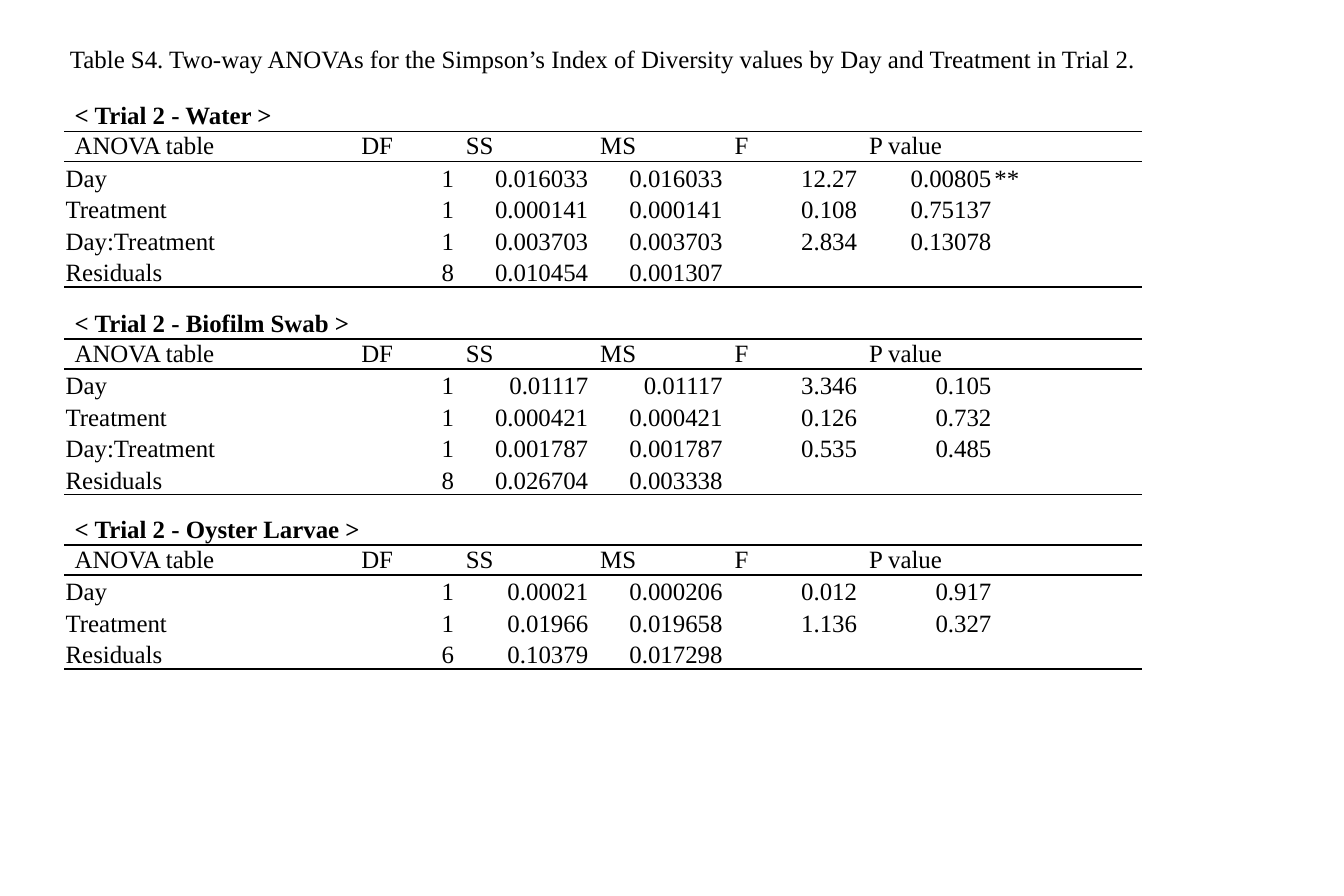
"""Build the slide with three two-way ANOVA tables for Trial 2."""
from lxml.etree import SubElement as Sub
from pptx import Presentation
from pptx.dml.color import RGBColor
from pptx.enum.text import MSO_ANCHOR as Anchor, MSO_AUTO_SIZE as Auto, PP_ALIGN as Align
from pptx.oxml.ns import qn
from pptx.util import Inches, Pt

BLACK = RGBColor(0x00, 0x00, 0x00)
TITLE = ("Table S4. Two-way ANOVAs for the Simpson’s Index of Diversity "
         "values by Day and Treatment in Trial 2.")
HEADS = ["ANOVA table", "DF", "SS", "MS", "F", "P value", ""]
WIDTHS = [1.92, 0.7, 0.9, 0.9, 0.9, 0.9, 1]
HEAD_H, ROW_H = 0.2, 0.21
TRIALS = [
    (0.68, "< Trial 2 - Water >", [
        ["Day", "1", "0.016033", "0.016033", "12.27", "0.00805", "**"],
        ["Treatment", "1", "0.000141", "0.000141", "0.108", "0.75137", ""],
        ["Day:Treatment", "1", "0.003703", "0.003703", "2.834", "0.13078", ""],
        ["Residuals", "8", "0.010454", "0.001307", "", "", ""],
    ]),
    (2.07, "< Trial 2 - Biofilm Swab >", [
        ["Day", "1", "0.01117", "0.01117", "3.346", "0.105", ""],
        ["Treatment", "1", "0.000421", "0.000421", "0.126", "0.732", ""],
        ["Day:Treatment", "1", "0.001787", "0.001787", "0.535", "0.485", ""],
        ["Residuals", "8", "0.026704", "0.003338", "", "", ""],
    ]),
    (3.45, "< Trial 2 - Oyster Larvae >", [
        ["Day", "1", "0.00021", "0.000206", "0.012", "0.917", ""],
        ["Treatment", "1", "0.01966", "0.019658", "1.136", "0.327", ""],
        ["Residuals", "6", "0.10379", "0.017298", "", "", ""],
    ]),
]


class Page:
    """Hold the text style and the current slide."""

    def __init__(self, slide, face="Times New Roman", size=12, color=BLACK):
        """Keep the slide and its style."""
        self.slide, self.face, self.size, self.color = slide, face, size, color

    def line(self, frame, text, bold=False, align=Align.LEFT):
        """Put one styled line in a text frame."""
        para = frame.paragraphs[0]
        para.text = text
        para.alignment = align
        for run in para.runs:
            font = run.font
            font.name, font.size, font.bold = self.face, Pt(self.size), bold
            font.color.rgb = self.color
        if not text:
            Sub(para._p, qn("a:endParaRPr"), sz=str(self.size * 100))

    def label(self, text, left, top, width, height):
        """Add a text box."""
        box = self.slide.shapes.add_textbox(*map(Inches, (left, top, width, height)))
        frame = box.text_frame
        frame.word_wrap = True
        frame.auto_size = Auto.SHAPE_TO_FIT_TEXT
        self.line(frame, text)

    def edge(self, cell, sides):
        """Rule the named sides of a cell and clear the others."""
        props = cell._tc.get_or_add_tcPr()
        for side in "LRTB":
            rule = Sub(props, qn(f"a:ln{side}"), w=str(Pt(1)))
            if side in sides:
                fill = Sub(rule, qn("a:solidFill"))
                Sub(fill, qn("a:srgbClr"), val=str(self.color))
            else:
                Sub(rule, qn("a:noFill"))
        cell.fill.background()

    def cell(self, cell, text, head, bold, align, sides):
        """Fill, inset and rule one table cell."""
        self.line(cell.text_frame, text, bold, align)
        cell.vertical_anchor = Anchor.MIDDLE if head else Anchor.BOTTOM
        cell.margin_left = cell.margin_right = Inches(0.07 if head else 0.01)
        cell.margin_top = Inches(0 if head else 0.01)
        cell.margin_bottom = 0
        self.edge(cell, sides)

    def table(self, top, name, body, left=0.43):
        """Add one ANOVA table with its heading row."""
        data = [[name] + [""] * 6, HEADS] + body
        last = len(data) - 1
        highs = [HEAD_H] * 2 + [ROW_H] * len(body)
        size = map(Inches, (left, top, sum(WIDTHS), sum(highs)))
        grid = self.slide.shapes.add_table(len(data), len(WIDTHS), *size).table
        grid.first_row = grid.horz_banding = False
        for col, width in zip(grid.columns, WIDTHS):
            col.width = Inches(width)
        for row, high in zip(grid.rows, highs):
            row.height = Inches(high)
        for r, row in enumerate(data):
            sides = ("T" if r in (1, 2) else "") + ("B" if r in (0, 1, last) else "")
            for c, text in enumerate(row):
                align = Align.RIGHT if r > 1 and 0 < c < 6 else Align.LEFT
                self.cell(grid.cell(r, c), text, r < 2, r == 0, align, sides)
        grid.cell(0, 0).merge(grid.cell(0, 5))


def main():
    """Make the deck and save it."""
    deck = Presentation()
    deck.slide_width, deck.slide_height = Inches(9), Inches(6)
    page = Page(deck.slides.add_slide(deck.slide_layouts[6]))
    page.label(TITLE, 0.37, 0.24, 7.82, 0.3)
    for trial in TRIALS:
        page.table(*trial)
    deck.save("out.pptx")


if __name__ == "__main__":
    main()
